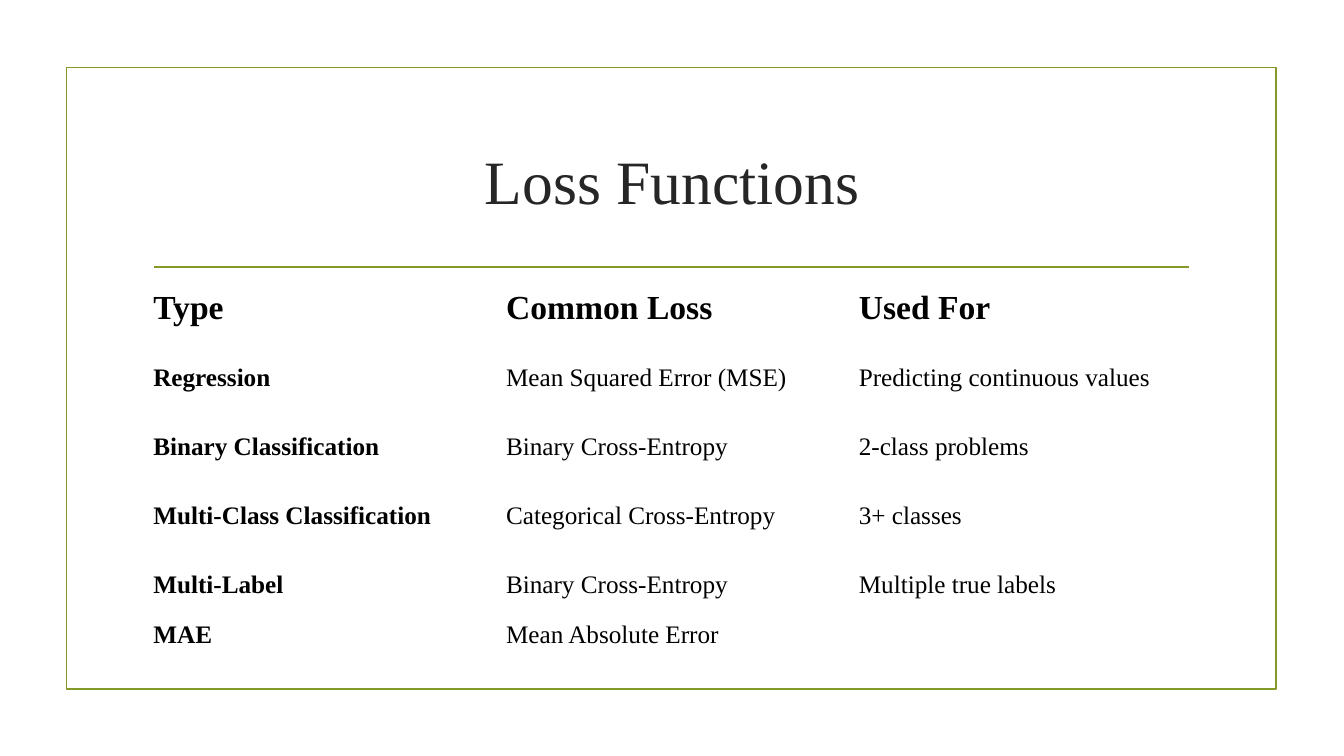
import pptx
import pptx.util
import pptx.dml.color
import pptx.enum.shapes
import pptx.enum.text
import pptx.oxml

Cm = pptx.util.Cm
Pt = pptx.util.Pt
MID = pptx.enum.text.MSO_ANCHOR.MIDDLE
FONT = "Times New Roman"
HUES = {"olive": "83992A", "title": "262626", "text": "000000"}
ROWS = [
    ("Type", "Common Loss", "Used For"),
    ("Regression", "Mean Squared Error (MSE)", "Predicting continuous values"),
    ("Binary Classification", "Binary Cross-Entropy", "2-class problems"),
    ("Multi-Class Classification", "Categorical Cross-Entropy", "3+ classes"),
    ("Multi-Label", "Binary Cross-Entropy", "Multiple true labels"),
    ("MAE", "Mean Absolute Error", ""),
]
LOW, HIGH = 1.27, 2.21
TALL = (1, 3)  # rows with the greater height


def hue(name):
    return pptx.dml.color.RGBColor.from_string(HUES[name])


def add_run(para, text, size, color, bold=False):
    run = para.add_run()
    run.text = text
    run.font.name = FONT
    run.font.size = Pt(size)
    run.font.bold = bold
    run.font.color.rgb = hue(color)


def add_frame(slide, left, top, width, height):
    # Border
    frame = slide.shapes.add_shape(
        pptx.enum.shapes.MSO_SHAPE.RECTANGLE,
        Cm(left), Cm(top), Cm(width), Cm(height))
    frame.shadow.inherit = False
    frame.fill.background()
    frame.line.color.rgb = hue("olive")
    frame.line.width = Pt(1.25)

    # Rule below the title
    inset, drop = 2.2, 5.03
    rule = slide.shapes.add_connector(
        pptx.enum.shapes.MSO_CONNECTOR.STRAIGHT,
        Cm(left + inset), Cm(top + drop),
        Cm(left + width - inset), Cm(top + drop))
    rule.line.color.rgb = hue("olive")
    rule.line.width = Pt(1.25)
    rule._element.spPr.append(
        pptx.oxml.parse_xml(
            '<a:effectLst xmlns:a='
            '"http://schemas.openxmlformats.org/drawingml/2006/main"/>'))


def add_title(slide, left, top, width, height):
    box = slide.shapes.add_textbox(Cm(left), Cm(top), Cm(width), Cm(height))
    frame = box.text_frame
    frame.word_wrap = True
    frame.vertical_anchor = MID
    para = frame.paragraphs[0]
    para.alignment = pptx.enum.text.PP_ALIGN.CENTER
    add_run(para, "Loss Functions", 44, "title")


def add_grid(slide, left, top, width):
    count = len(ROWS[0])
    height = LOW * (len(ROWS) - len(TALL)) + HIGH * len(TALL)
    grid = slide.shapes.add_table(
        len(ROWS), count, Cm(left), Cm(top), Cm(width), Cm(height)).table
    grid.first_row = False
    grid.horz_banding = False
    for col in grid.columns:
        col.width = Cm(width / count)
    for r, texts in enumerate(ROWS):
        grid.rows[r].height = Cm(HIGH if r in TALL else LOW)
        for c, text in enumerate(texts):
            cell = grid.cell(r, c)
            cell.fill.background()
            cell.vertical_anchor = MID
            if text:
                add_run(cell.text_frame.paragraphs[0], text,
                        24 if r == 0 else 18, "text", r == 0 or c == 0)


def main():
    deck = pptx.Presentation()
    deck.slide_width, deck.slide_height = Cm(33.87), Cm(19.05)
    slide = deck.slides.add_slide(deck.slide_layouts[6])
    add_frame(slide, 1.68, 1.7, 30.48, 15.67)
    add_title(slide, 3.61, 2.72, 26.67, 3.63)
    add_grid(slide, 3.61, 7.14, 26.67)
    deck.save("out.pptx")


if __name__ == "__main__":
    main()
